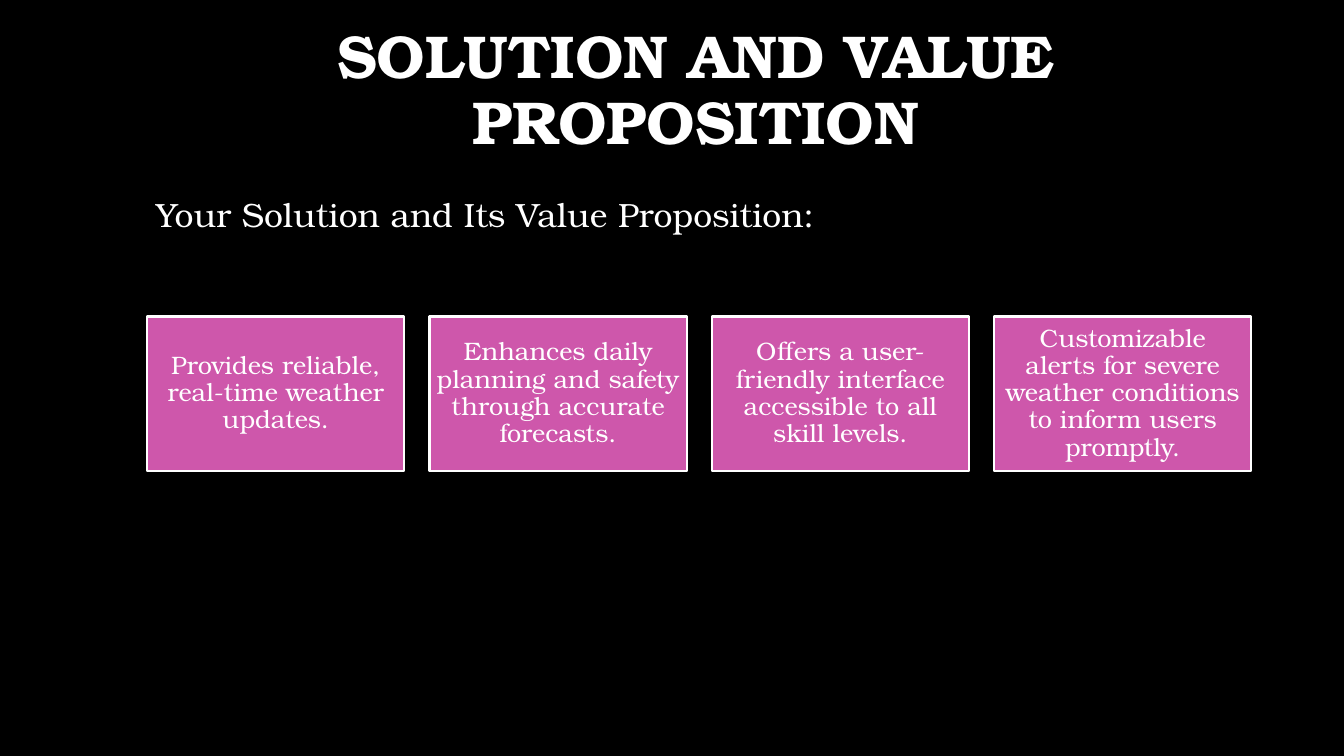
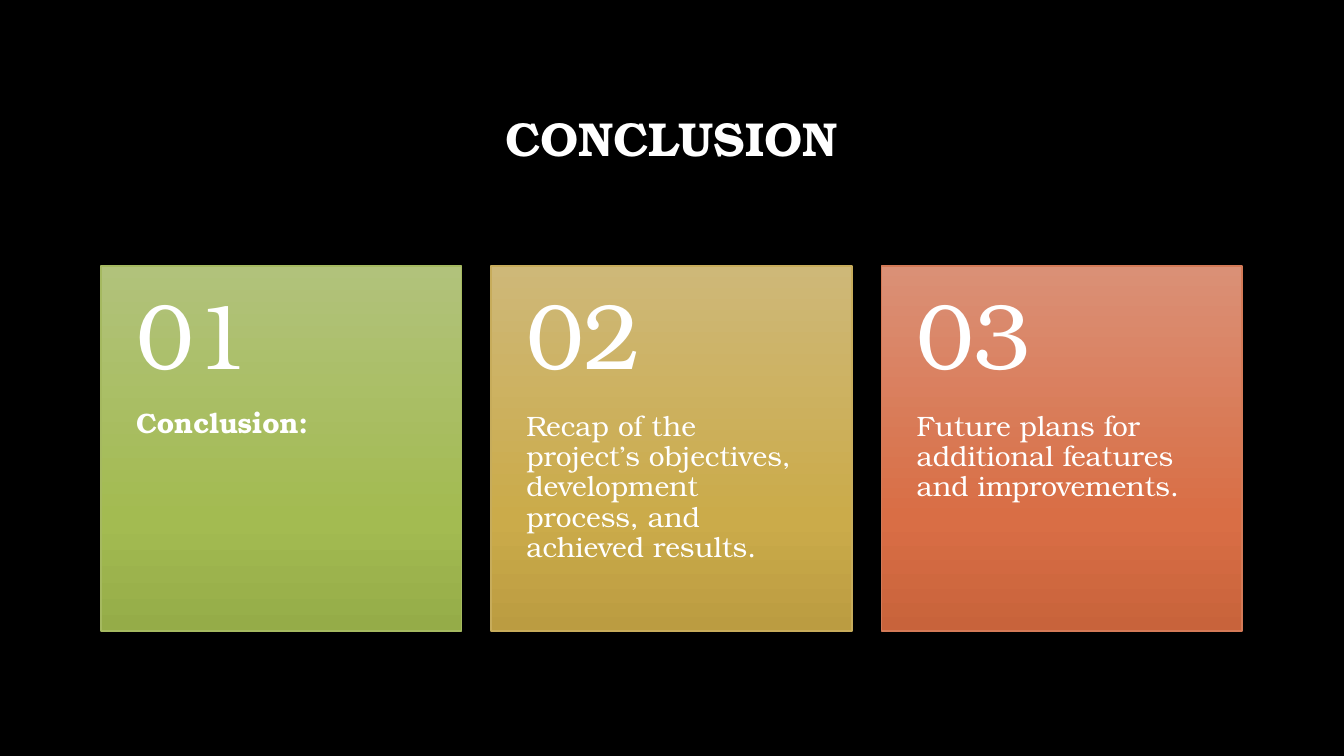
from copy import deepcopy
from dataclasses import dataclass

from pptx import Presentation
from pptx.dml.color import RGBColor as RGB
from pptx.enum.shapes import MSO_SHAPE as Shape
from pptx.enum.text import MSO_ANCHOR as Anchor, PP_ALIGN as Align
from pptx.oxml.ns import qn
from pptx.util import Emu, Pt

PX = 9144


@dataclass(frozen=True)
class Theme:
    font: str = "TeX Gyre Bonum"
    background: str = "000000"
    text: str = "FFFFFF"
    benefit: str = "CE57AB"
    long_title: float = 43.2
    title: int = 34
    subtitle: int = 24
    benefit_size: int = 18
    number: int = 66
    takeaway: int = 20
    spacing: float = 0.9


THEME = Theme()
SLIDE_SIZE = (1333, 750)

SOLUTION_TITLE = "SOLUTION AND VALUE PROPOSITION"
SOLUTION_SUBTITLE = "Your Solution and Its Value Proposition:"
BENEFITS = [
    "Provides reliable, real-time weather updates.",
    "Enhances daily planning and safety through accurate forecasts.",
    "Offers a user-friendly interface accessible to all skill levels.",
    "Customizable alerts for severe weather conditions to inform users promptly.",
]

CONCLUSION_TITLE = "CONCLUSION"
GRADIENT_POSITIONS = (0, 0.69, 1)
TAKEAWAYS = [
    ("Conclusion:", True, ("B1C27B", "A3BB51", "95AC48"), "A5B960"),
    ("Recap of the project’s objectives, development process, and achieved results.",
     False, ("CEB878", "CBAB4A", "BB9C41"), "C7AC5B"),
    ("Future plans for additional features and improvements.",
     False, ("DA9076", "D96E45", "C8633B"), "D47A57"),
]


def px(*lengths):
    return [Emu(length * PX) for length in lengths]


def apply(target, formats):
    for name, value in formats.items():
        setattr(target, name, value)


def write(holder, wording, size, bold=False, align=Align.LEFT, anchor=Anchor.TOP,
          insets=(10, 5, 10, 5), spacing=THEME.spacing):
    frame = holder.text_frame
    left, top, right, bottom = px(*insets)
    apply(frame, {"word_wrap": True, "vertical_anchor": anchor,
                  "margin_left": left, "margin_top": top,
                  "margin_right": right, "margin_bottom": bottom})
    paragraph = frame.paragraphs[0]
    apply(paragraph, {"alignment": align, "line_spacing": spacing})
    run = paragraph.add_run()
    run.text = wording
    apply(run.font, {"name": THEME.font, "size": Pt(size), "bold": bold})
    run.font.color.rgb = RGB.from_string(THEME.text)


def add_text(slide, box, wording, size, **formats):
    write(slide.shapes.add_textbox(*px(*box)), wording, size, **formats)


def add_card(slide, box, border, border_width):
    card = slide.shapes.add_shape(Shape.RECTANGLE, *px(*box))
    card.shadow.inherit = False
    card.line.color.rgb = RGB.from_string(border)
    card.line.width = Pt(border_width)
    return card


def fill_gradient(card, colours):
    card.fill.gradient()
    card.fill.gradient_angle = 270
    stop_list = next(card._element.spPr.iter(qn("a:gsLst")))
    stop_list.append(deepcopy(stop_list[-1]))
    for stop, position, colour in zip(card.fill.gradient_stops, GRADIENT_POSITIONS, colours):
        stop.position = position
        stop.color.rgb = RGB.from_string(colour)


def add_slide(deck, title, box, size, anchor):
    slide = deck.slides.add_slide(deck.slide_layouts[6])
    slide.background.fill.solid()
    slide.background.fill.fore_color.rgb = RGB.from_string(THEME.background)
    add_text(slide, box, title, size, bold=True, align=Align.CENTER, anchor=anchor)
    return slide


def build_solution(deck):
    slide = add_slide(deck, SOLUTION_TITLE, (164, 45, 1052, 116),
                      THEME.long_title, Anchor.BOTTOM)
    add_text(slide, (145, 187, 678, 50), SOLUTION_SUBTITLE, THEME.subtitle, spacing=1.0)
    left, top, width, height, gap = 146, 314, 255, 153, 25
    for index, benefit in enumerate(BENEFITS):
        box = (left + index * (width + gap), top, width, height)
        card = add_card(slide, box, THEME.text, 1.5)
        card.fill.solid()
        card.fill.fore_color.rgb = RGB.from_string(THEME.benefit)
        write(card, benefit, THEME.benefit_size, align=Align.CENTER,
              anchor=Anchor.MIDDLE, insets=(7, 7, 7, 7))


def build_conclusion(deck):
    slide = add_slide(deck, CONCLUSION_TITLE, (100, 67, 1132, 145),
                      THEME.title, Anchor.MIDDLE)
    left, top, width, height, gap = 100, 264, 358, 362, 29
    number_height = 145
    for index, (takeaway, bold, colours, border) in enumerate(TAKEAWAYS):
        x = left + index * (width + gap)
        card = add_card(slide, (x, top, width, height), border, 1)
        fill_gradient(card, colours)
        add_text(slide, (x, top, width, number_height), f"{index + 1:02}", THEME.number,
                 anchor=Anchor.MIDDLE, insets=(35, 18, 35, 18))
        add_text(slide, (x, top + number_height, width, height - number_height),
                 takeaway, THEME.takeaway, bold=bold, insets=(35, 0, 35, 36))


def main():
    deck = Presentation()
    deck.slide_width, deck.slide_height = px(*SLIDE_SIZE)
    build_solution(deck)
    build_conclusion(deck)
    deck.save("out.pptx")


if __name__ == "__main__":
    main()
